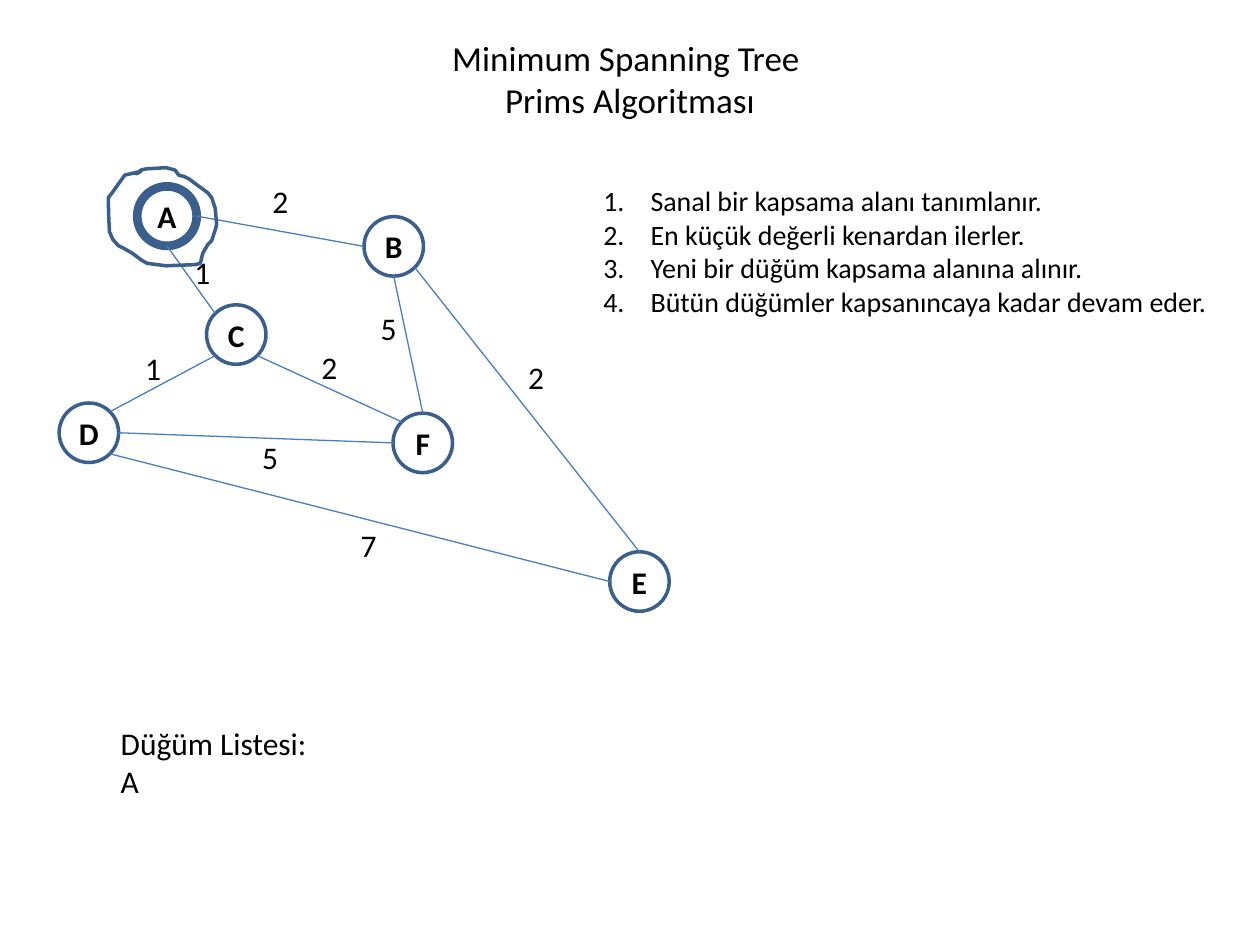
"""Build the slide on Prim's minimum spanning tree algorithm."""
import math

from lxml import etree
from pptx import Presentation
from pptx import util as u
from pptx.dml.color import RGBColor
from pptx.enum import shapes, text
from pptx.oxml import ns

Pt = u.Pt
COLORS = {"text": "000000", "node": "3A5F8C", "edge": "4B7EBC"}
DIAMETER = 34
NODES = {
    "A": (95.4, 123.5), "C": (135, 191.2), "F": (241.6, 253.1),
    "D": (50.8, 247.3), "B": (225, 140.8), "E": (365.4, 332.3),
}
DIRECTIONS = {"E": 0, "SE": 45, "S": 90, "SW": 135, "W": 180, "NW": 225, "N": 270, "NE": 315}
EDGES = [
    ("A", "E", "B", "W", "2", 160.2, 114.8),
    ("D", "E", "F", "W", "5", 154.4, 261),
    ("C", "SE", "F", "NW", "2", 188.3, 209.9),
    ("D", "NE", "C", "SW", "1", 87.5, 210.2),
    ("A", "S", "C", "NW", "1", 115.6, 155.2),
    ("B", "SE", "E", "N", "2", 306.4, 215.6),
    ("D", "SE", "E", "W", "7", 210.6, 311.4),
    ("B", "S", "F", "N", "5", 222.1, 187.6),
]
COVERAGE = [
    (80.6, 97.9), (74.2, 99.4), (71.3, 100.1), (67.7, 105.1), (64.1, 110.2), (61.9, 113),
    (62.1, 123), (62.6, 132.5), (64.5, 136.8), (67.7, 140.4), (70.6, 141.8), (75.6, 144.7),
    (78.5, 146.9), (81.4, 149), (84.2, 150.5), (95, 151.9), (111.6, 151.2), (114.5, 150.5),
    (115.9, 144.7), (118.8, 139.7), (121, 137.5), (123.1, 131), (123.8, 128.2),
    (123, 119), (121, 113), (118.8, 110.2), (110.9, 104.4), (108, 102.2), (105.1, 100.8),
    (102.2, 100.1), (100.1, 97.2), (95, 95.8), (83.5, 96.5), (80.6, 97.2), (77.8, 99.4),
]
STEPS = [
    "Sanal bir kapsama alanı tanımlanır.",
    "En küçük değerli kenardan ilerler.",
    "Yeni bir düğüm kapsama alanına alınır.",
    "Bütün düğümler kapsanıncaya kadar devam eder.",
]


def write(sp, content, size, align, bold=False, anchor=text.MSO_ANCHOR.MIDDLE, wrap=True):
    tf = sp.text_frame
    tf.text = content
    tf.word_wrap = wrap
    tf.vertical_anchor = anchor
    for p in tf.paragraphs:
        p.alignment = align
        for r in p.runs:
            r.font.name = "Calibri"
            r.font.size = Pt(size)
            r.font.bold = bold
            r.font.color.rgb = RGBColor.from_string(COLORS["text"])
    return tf


def outline(sp, width):
    sp.shadow.inherit = False
    sp.fill.background()
    sp.line.color.rgb = RGBColor.from_string(COLORS["node"])
    sp.line.width = Pt(width)


prs = Presentation()
prs.slide_width, prs.slide_height = Pt(720), Pt(540)
s = prs.slides.add_slide(prs.slide_layouts[6])
center, left = text.PP_ALIGN.CENTER, text.PP_ALIGN.LEFT

title = s.shapes.add_textbox(Pt(36), Pt(21.6), Pt(648), Pt(46))
write(title, "Minimum Spanning Tree \vPrims Algoritması", 20, center)

graph = s.shapes.add_group_shape().shapes
radius = DIAMETER / 2
for name, (x, y) in NODES.items():
    sp = graph.add_shape(shapes.MSO_SHAPE.OVAL, Pt(x - radius), Pt(y - radius), Pt(DIAMETER), Pt(DIAMETER))
    outline(sp, 5 if name == "A" else 2)
    write(sp, name, 18, center, bold=True, wrap=False)

for start, start_side, end, end_side, weight, x, y in EDGES:
    ends = []
    for node, side in ((start, start_side), (end, end_side)):
        angle = math.radians(DIRECTIONS[side])
        ends += [
            Pt(NODES[node][0] + radius * math.cos(angle)),
            Pt(NODES[node][1] + radius * math.sin(angle)),
        ]
    edge = graph.add_connector(shapes.MSO_CONNECTOR.STRAIGHT, *ends)
    edge.line.color.rgb = RGBColor.from_string(COLORS["edge"])
    edge.line.width = Pt(0.75)
    etree.SubElement(edge._element.spPr, ns.qn("a:effectLst"))
    label = graph.add_textbox(Pt(x - 14), Pt(y - 13.3), Pt(28), Pt(26.6))
    write(label, weight, 18, center)

points = [(Pt(x), Pt(y)) for x, y in COVERAGE]
builder = s.shapes.build_freeform(*points[0], scale=1.0)
builder.add_line_segments(points[1:], close=True)
outline(builder.convert_to_shape(), 2)

steps = s.shapes.add_textbox(Pt(337.7), Pt(101.5), Pt(363), Pt(85))
tf = write(steps, "\n".join(STEPS), 16, left, anchor=text.MSO_ANCHOR.TOP, wrap=False)
for p in tf.paragraphs:
    pPr = p._p.get_or_add_pPr()
    pPr.set("marL", str(Pt(27)))
    pPr.set("indent", str(-Pt(27)))
    etree.SubElement(pPr, ns.qn("a:buFont"), typeface="+mj-lt")
    etree.SubElement(pPr, ns.qn("a:buAutoNum"), type="arabicPeriod")

visited = s.shapes.add_textbox(Pt(61.9), Pt(410.4), Pt(122.4), Pt(51))
write(visited, "Düğüm Listesi:\nA", 18, left, anchor=text.MSO_ANCHOR.TOP, wrap=False)

prs.save("out.pptx")
